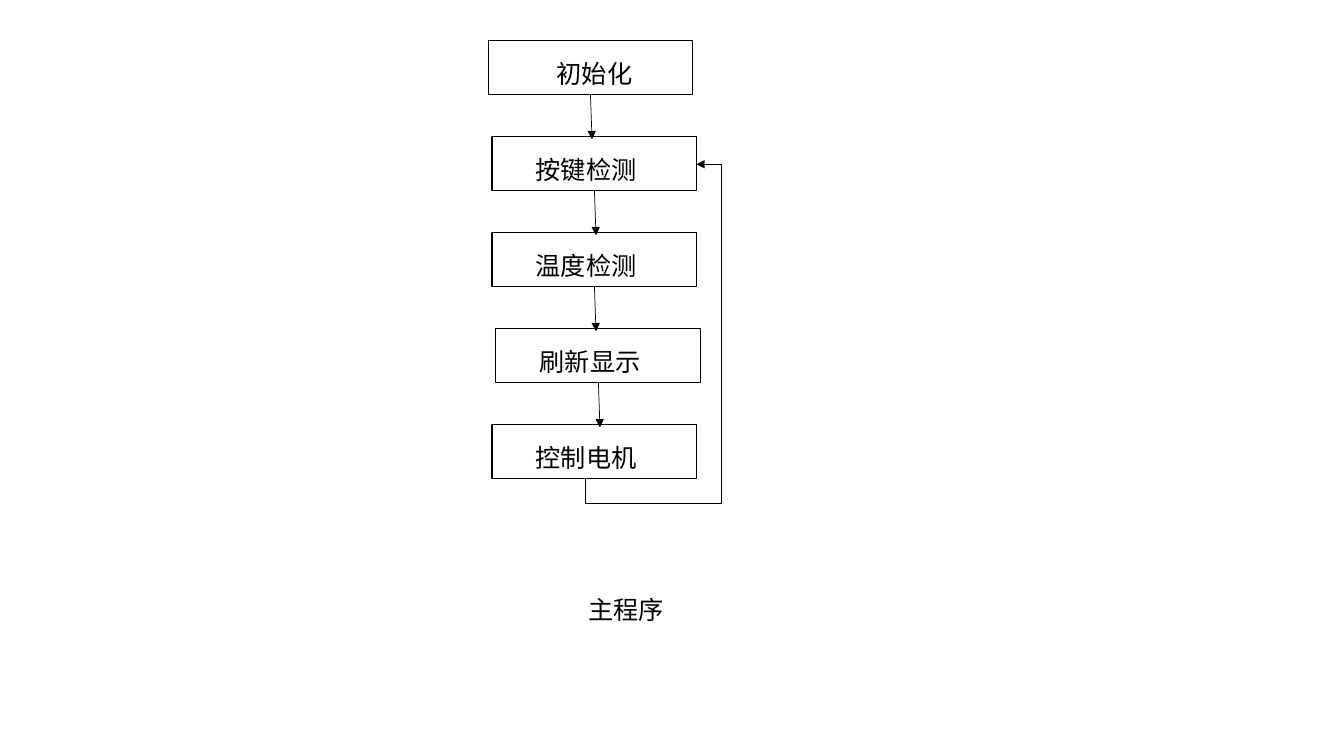
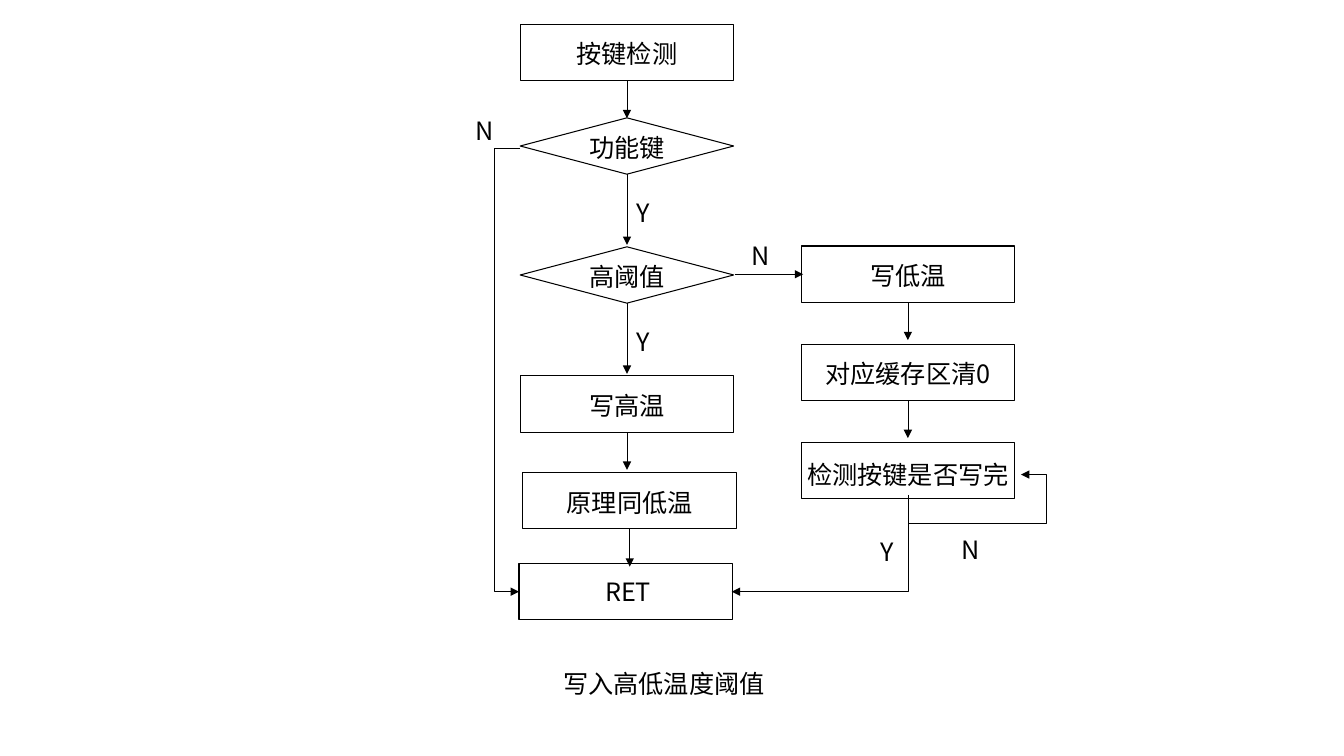
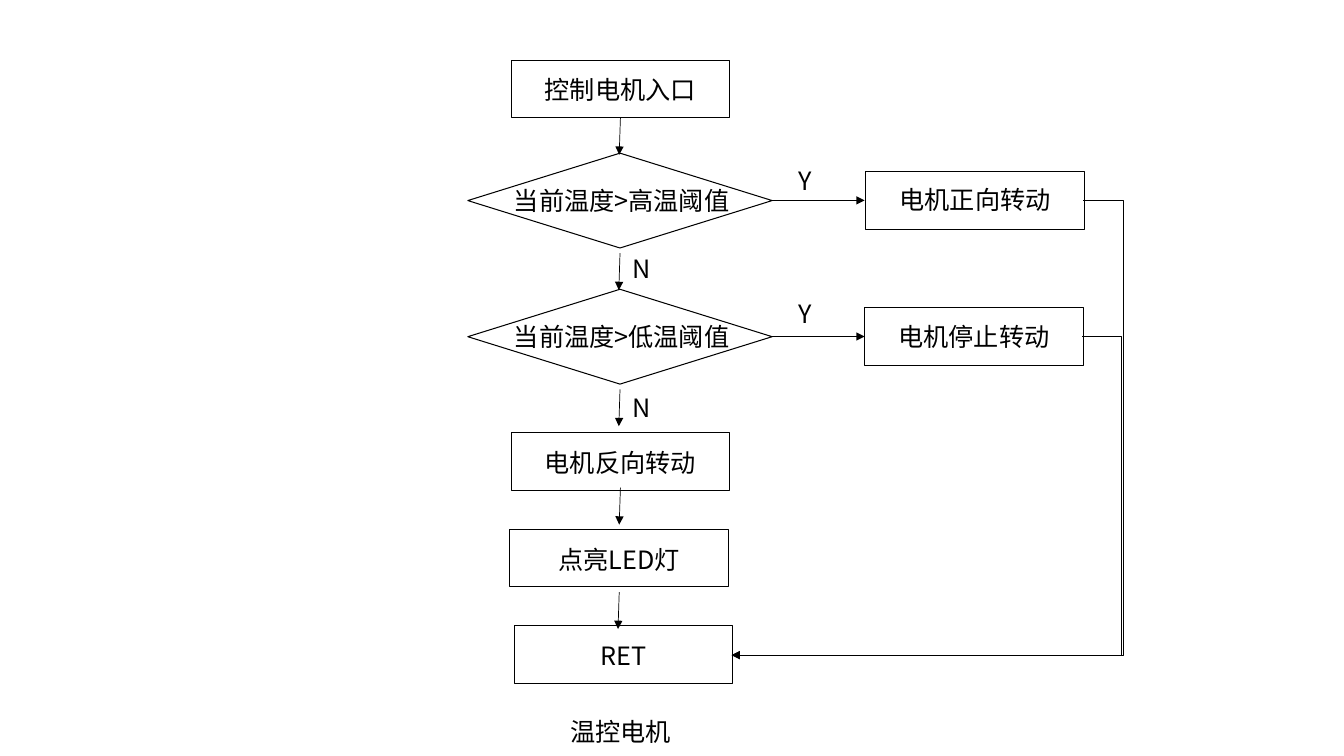
from pptx import Presentation
from pptx.dml.color import RGBColor
from pptx.enum.shapes import MSO_CONNECTOR, MSO_SHAPE
from pptx.enum.text import MSO_AUTO_SIZE, PP_ALIGN
from pptx.oxml.ns import qn
from pptx.util import Cm, Pt
from lxml.etree import SubElement

FONT = "Noto Sans CJK SC"
INK = "000000"
TEXT_HEIGHT = 1.02
RECT = MSO_SHAPE.RECTANGLE
DIAMOND = MSO_SHAPE.DIAMOND
DECISION = MSO_SHAPE.FLOWCHART_DECISION


def color(value):
    return RGBColor.from_string(value)


def add_text(page, text, left, top, width, align=PP_ALIGN.LEFT, size=18, ink=INK):
    box = page.shapes.add_textbox(Cm(left), Cm(top), Cm(width), Cm(TEXT_HEIGHT))
    frame = box.text_frame
    frame.word_wrap = True
    frame.auto_size = MSO_AUTO_SIZE.SHAPE_TO_FIT_TEXT
    para = frame.paragraphs[0]
    para.alignment = align
    span = para.add_run()
    span.text = text
    span.font.size = Pt(size)
    span.font.name = FONT
    span.font.color.rgb = color(ink)
    SubElement(span.font._element, qn("a:ea"), typeface=FONT)


def add_arrow(page, start, end, kind=MSO_CONNECTOR.STRAIGHT):
    points = [Cm(value) for value in (*start, *end)]
    arrow = page.shapes.add_connector(kind, *points)
    arrow.line.color.rgb = color(INK)
    arrow.line.width = Pt(0.5)
    properties = arrow.element.spPr
    SubElement(properties.find(qn("a:ln")), qn("a:tailEnd"), type="triangle")
    SubElement(properties, qn("a:effectLst"))
    return arrow


def add_elbow(page, start, end, lane=None, floor=None):
    """Bent arrow: lane is the x of its upright part, floor the y of its low part."""
    (x1, y1), (x2, y2) = start, end
    across, along = abs(x2 - x1), abs(y2 - y1)
    if floor is not None:
        preset, turn = "bentConnector4", {"rot": "5400000", "flipH": "1", "flipV": "1"}
        bends = [(y1 - floor) / along, (lane - x1) / across]
    elif lane is not None:
        preset, turn = "bentConnector3", {"flipH": "1"}
        bends = [(x1 - lane) / across]
    else:
        preset, turn, bends = "bentConnector2", {"rot": "5400000"}, []
    width, height = (along, across) if "rot" in turn else (across, along)
    left, top = (x1 + x2 - width) / 2, (y1 + y2 - height) / 2
    elbow = add_arrow(page, (left, top), (left + width, top + height), MSO_CONNECTOR.ELBOW)
    properties = elbow.element.spPr
    for name, value in turn.items():
        properties.find(qn("a:xfrm")).set(name, value)
    geometry = properties.find(qn("a:prstGeom"))
    geometry.set("prst", preset)
    guides = geometry.find(qn("a:avLst"))
    for number, bend in enumerate(bends, 1):
        name = f"adj{number}" if len(bends) > 1 or preset == "bentConnector3" else "adj"
        SubElement(guides, qn("a:gd"), name=name, fmla=f"val {round(bend * 100000)}")


def add_step(page, text, left, top, size, kind=RECT, drop=0.24, shift=0,
             text_width=None, align=PP_ALIGN.CENTER, arrow=None):
    """Outlined step; arrow is (gap below the step, sideways drift, length)."""
    width, height = size
    step = page.shapes.add_shape(kind, Cm(left), Cm(top), Cm(width), Cm(height))
    step.shadow.inherit = False
    step.fill.background()
    step.line.color.rgb = color(INK)
    step.line.width = Pt(0.75)
    text_width = text_width or width
    middle = left + width / 2
    add_text(page, text, middle + shift - text_width / 2, top + drop, text_width, align=align)
    if arrow:
        gap, drift, length = arrow
        start = top + height + gap
        add_arrow(page, (middle, start), (middle + drift, start + length))


def main_program(page, x, y):
    # Steps at an equal pitch
    steps = [("初始化", -0.1, 0.1), ("按键检测", 0, -0.21), ("温度检测", 0, -0.21),
             ("刷新显示", 0.1, -0.21), ("控制电机", 0, -0.21)]
    for index, (text, indent, shift) in enumerate(steps):
        last = index == len(steps) - 1
        add_step(page, text, x + indent, y + 2.42 * index, (5.16, 1.37), drop=0.33,
                 shift=shift, text_width=4.93, arrow=None if last else (0, 0.04, 1.12))
    # Loop back to the second step
    add_elbow(page, (x + 2.36, y + 11.05), (x + 5.15, y + 3.12), lane=x + 5.79, floor=y + 11.68)
    add_text(page, "主程序", x + 0.1, y + 13.84, 6.55, align=PP_ALIGN.CENTER)


def threshold_entry(page, x, y):
    size = (5.38, 1.42)
    short, long = (0, 0, 0.95), (0, 0, 1.78)
    # Main column
    for text, indent, top, kind, arrow in [
            ("按键检测", 0, 0, RECT, short), ("功能键", 0, 2.36, DIAMOND, long),
            ("高阈值", 0, 5.61, DIAMOND, long), ("写高温", 0, 8.86, RECT, short),
            ("原理同低温", 0.07, 11.3, RECT, short)]:
        add_step(page, text, x + indent, y + top, size, kind=kind, arrow=arrow)
    add_step(page, "RET", x - 0.03, y + 13.59, size, shift=0.06, drop=0.2)
    # Low temperature column
    for index, text in enumerate(["写低温", "对应缓存区清0"]):
        add_step(page, text, x + 7.08, y + 5.59 + 2.47 * index, size, arrow=short)
    add_step(page, "检测按键是否写完", x + 7.08, y + 10.53, size, drop=0.3, text_width=5.66)
    # Branches
    add_arrow(page, (x + 5.41, y + 6.3), (x + 7.13, y + 6.3))
    add_elbow(page, (x, y + 3.12), (x - 0.03, y + 14.3), lane=x - 0.66)
    add_elbow(page, (x + 9.78, y + 11.94), (x + 12.62, y + 11.35), lane=x + 13.26, floor=y + 12.57)
    add_elbow(page, (x + 9.78, y + 11.86), (x + 5.33, y + 14.3))
    # Branch labels and title
    for text, left, top, width in [
            ("N", -1.38, 2.16, 1.37), ("Y", 2.69, 4.24, 1.37), ("Y", 2.69, 7.49, 1.37),
            ("N", 5.58, 5.33, 1.37), ("N", 10.87, 12.73, 2.11), ("Y", 8.84, 12.78, 0.91),
            ("写入高低温度阈值", 0.83, 16.1, 5.97)]:
        add_text(page, text, x + left, y + top, width)


def motor_control(page, x, y):
    size = (5.51, 1.45)
    # Main column
    for text, indent, top, arrow in [
            ("控制电机入口", 0, 0, (0, -0.03, 0.93)),
            ("电机反向转动", 0, 9.38, (-0.06, -0.03, 0.93)),
            ("点亮LED灯", -0.03, 11.82, (0.13, -0.03, 0.93)),
            ("RET", 0.08, 14.25, None)]:
        add_step(page, text, x + indent, y + top, size, arrow=arrow)
    # Decisions, each with its outcome on the right
    for index, (question, outcome, indent) in enumerate([
            ("当前温度>高温阈值", "电机正向转动", 8.94),
            ("当前温度>低温阈值", "电机停止转动", 8.91)]):
        top = y + 3.43 * index
        add_step(page, question, x - 1.09, top + 2.34, (7.67, 2.39), kind=DECISION, drop=0.69,
                 shift=0.2, text_width=6.25, align=PP_ALIGN.LEFT, arrow=(0.13, -0.03, 0.93))
        add_arrow(page, (x + 6.58, top + 3.53), (x + 8.91, top + 3.53))
        add_step(page, outcome, x + indent, top + 2.81, size, drop=0.2)
        add_elbow(page, (x + indent + 5.48, top + 3.53), (x + 5.56, y + 14.99),
                  lane=x + indent + 6.48)
        add_text(page, "N", x + 2.82, y + 4.73 + 3.5 * index, 1.93)
        add_text(page, "Y", x + 7, y + 2.52 + 3.35 * index, 1.93)
    add_text(page, "温控电机", x + 0.91, y + 16.41, 3.71, align=PP_ALIGN.CENTER)


deck = Presentation()
deck.slide_width, deck.slide_height = Cm(33.87), Cm(19.05)
for draw, left, top in [(main_program, 12.4, 1.02), (threshold_entry, 13.11, 0.61),
                        (motor_control, 12.88, 1.52)]:
    draw(deck.slides.add_slide(deck.slide_layouts[6]), left, top)
deck.save("out.pptx")
